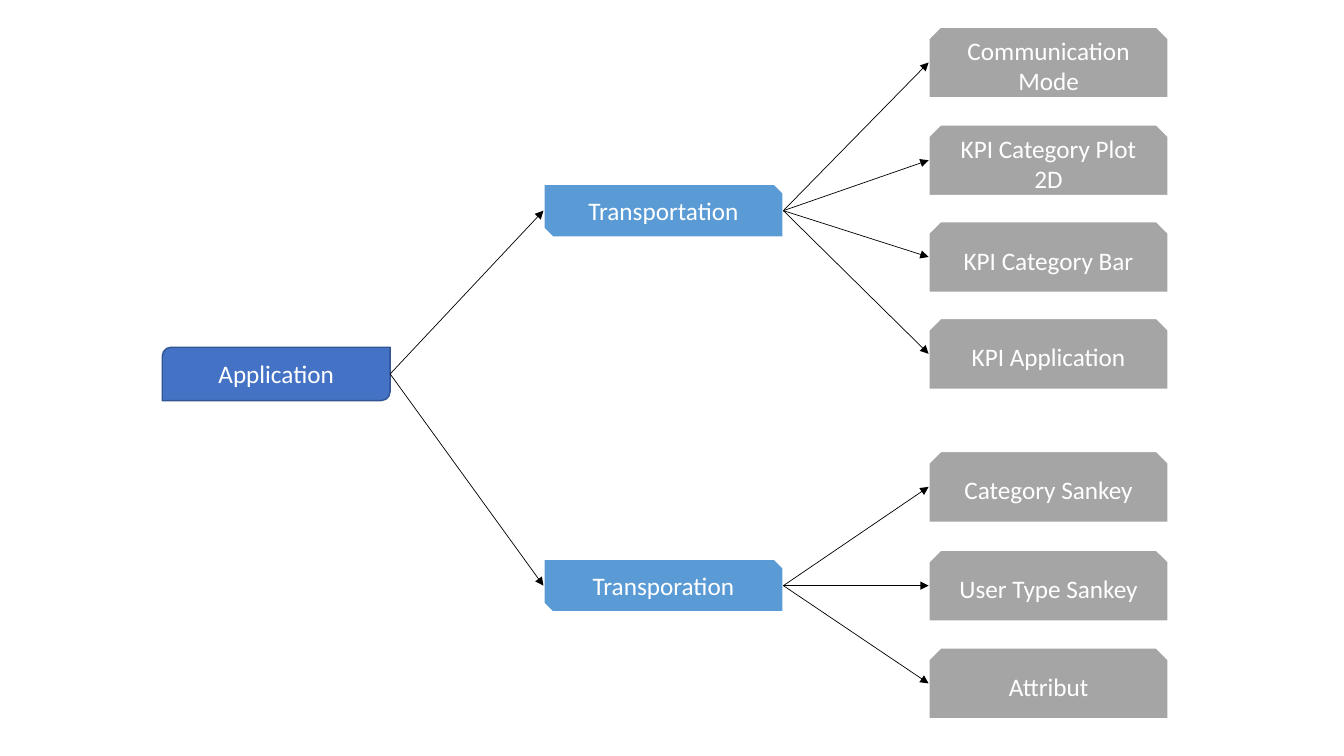
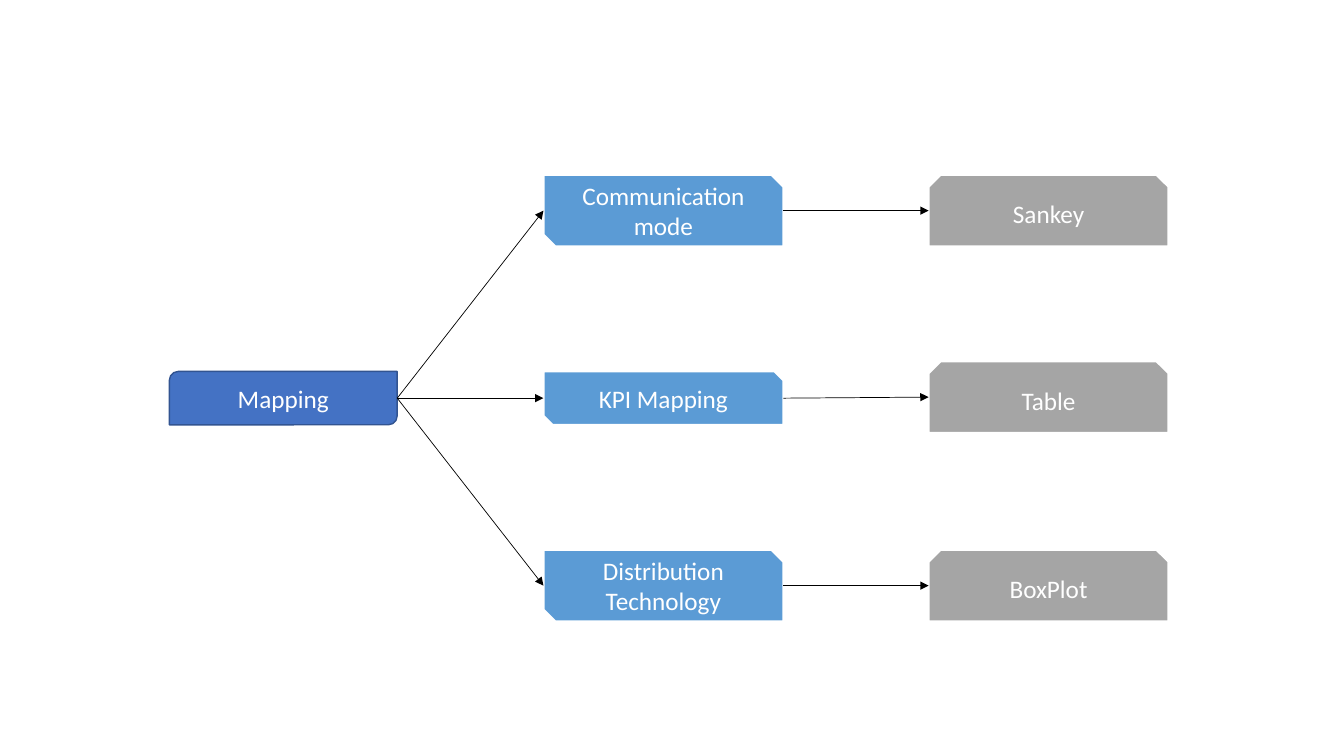
from lxml import etree
from pptx import Presentation
from pptx.dml.color import RGBColor
from pptx.enum.shapes import MSO_CONNECTOR as LINK, MSO_SHAPE as SHAPE
from pptx.enum.text import MSO_ANCHOR as ANCHOR, PP_ALIGN as ALIGN
from pptx.oxml.ns import qn
from pptx.util import Inches, Pt

# Shared colours and text style
WHITE = RGBColor(0xFF, 0xFF, 0xFF)
BLACK = RGBColor(0x00, 0x00, 0x00)
BLUE = RGBColor(0x44, 0x72, 0xC4)
NAVY = RGBColor(0x32, 0x54, 0x91)
SKY = RGBColor(0x5B, 0x9B, 0xD5)
GREY = RGBColor(0xA5, 0xA5, 0xA5)
FONT = {"name": "Calibri", "size": Pt(18)}

# One look for each level of the tree
ROOT = {"kind": SHAPE.ROUND_2_DIAG_RECTANGLE, "fill": BLUE,
        "line": NAVY, "weight": 1, "width": 2.26}
BRANCH = {"kind": SHAPE.SNIP_2_DIAG_RECTANGLE, "fill": SKY,
          "line": WHITE, "weight": 1.5, "width": 2.38}
LEAF = {"kind": SHAPE.SNIP_2_SAME_RECTANGLE, "fill": GREY,
        "line": WHITE, "weight": 1.5, "width": 2.38}
BRANCH_X, LEAF_X = 5.39, 9.21
LOW, HIGH = 0.53, 0.71

# Connection sites of these shapes
RIGHT, LEFT = 0, 2

# Each tree: root text, left, centre; then branches with their leaves
TREES = [
    ("Application", 1.61, 3.71, [
        ("Transportation", 2.09, LOW, [
            ("Communication Mode", 0.62),
            ("KPI Category Plot 2D", 1.59),
            ("KPI Category Bar", 2.55),
            ("KPI Application", 3.51)]),
        ("Transporation", 5.81, LOW, [
            ("Category Sankey", 4.83),
            ("User Type Sankey", 5.81),
            ("Attribut", 6.78)]),
    ]),
    ("Mapping", 1.68, 3.95, [
        ("Communication mode", 2.09, HIGH, [("Sankey", 2.09)]),
        ("KPI Mapping", 3.95, LOW, [("Table", 3.94)]),
        ("Distribution Technology", 5.81, HIGH, [("BoxPlot", 5.81)]),
    ]),
]


def add_node(slide, text, left, centre, height, look):
    """Draw a labelled box around its vertical centre."""
    node = slide.shapes.add_shape(
        look["kind"], Inches(left), Inches(centre - height / 2),
        Inches(look["width"]), Inches(height))
    node.shadow.inherit = False
    node.fill.solid()
    node.fill.fore_color.rgb = look["fill"]
    node.line.color.rgb = look["line"]
    node.line.width = Pt(look["weight"])
    frame = node.text_frame
    frame.word_wrap = True
    frame.vertical_anchor = ANCHOR.MIDDLE
    para = frame.paragraphs[0]
    para.alignment = ALIGN.CENTER
    run = para.add_run()
    run.text = text
    for key, value in FONT.items():
        setattr(run.font, key, value)
    run.font.color.rgb = WHITE
    return node


def add_arrow(slide, start, end):
    """Join the right side of one box to the left side of the next."""
    arrow = slide.shapes.add_connector(LINK.STRAIGHT, 0, 0, 0, 0)
    arrow.begin_connect(start, RIGHT)
    arrow.end_connect(end, LEFT)
    arrow.begin_x = start.left + start.width
    arrow.begin_y = start.top + start.height // 2
    arrow.end_x = end.left
    arrow.end_y = end.top + end.height // 2
    arrow.line.color.rgb = BLACK
    arrow.line.width = Pt(0.5)
    # Arrowhead, and no shadow
    tip = etree.SubElement(arrow.line._get_or_add_ln(), qn("a:tailEnd"))
    tip.set("type", "triangle")
    etree.SubElement(arrow._element.spPr, qn("a:effectLst"))


def add_branch(slide, root, text, centre, height, leaves):
    """Draw a branch, its leaves and the arrows to them."""
    branch = add_node(slide, text, BRANCH_X, centre, height, BRANCH)
    add_arrow(slide, root, branch)
    for label, middle in leaves:
        leaf = add_node(slide, label, LEAF_X, middle, HIGH, LEAF)
        add_arrow(slide, branch, leaf)


def add_tree(deck, text, left, centre, branches):
    """Build one slide with a tree growing to the right."""
    slide = deck.slides.add_slide(deck.slide_layouts[6])
    root = add_node(slide, text, left, centre, LOW, ROOT)
    for branch in branches:
        add_branch(slide, root, *branch)


def main():
    deck = Presentation()
    deck.slide_width = Inches(13.33)
    deck.slide_height = Inches(7.5)
    for tree in TREES:
        add_tree(deck, *tree)
    deck.save("out.pptx")


if __name__ == "__main__":
    main()
